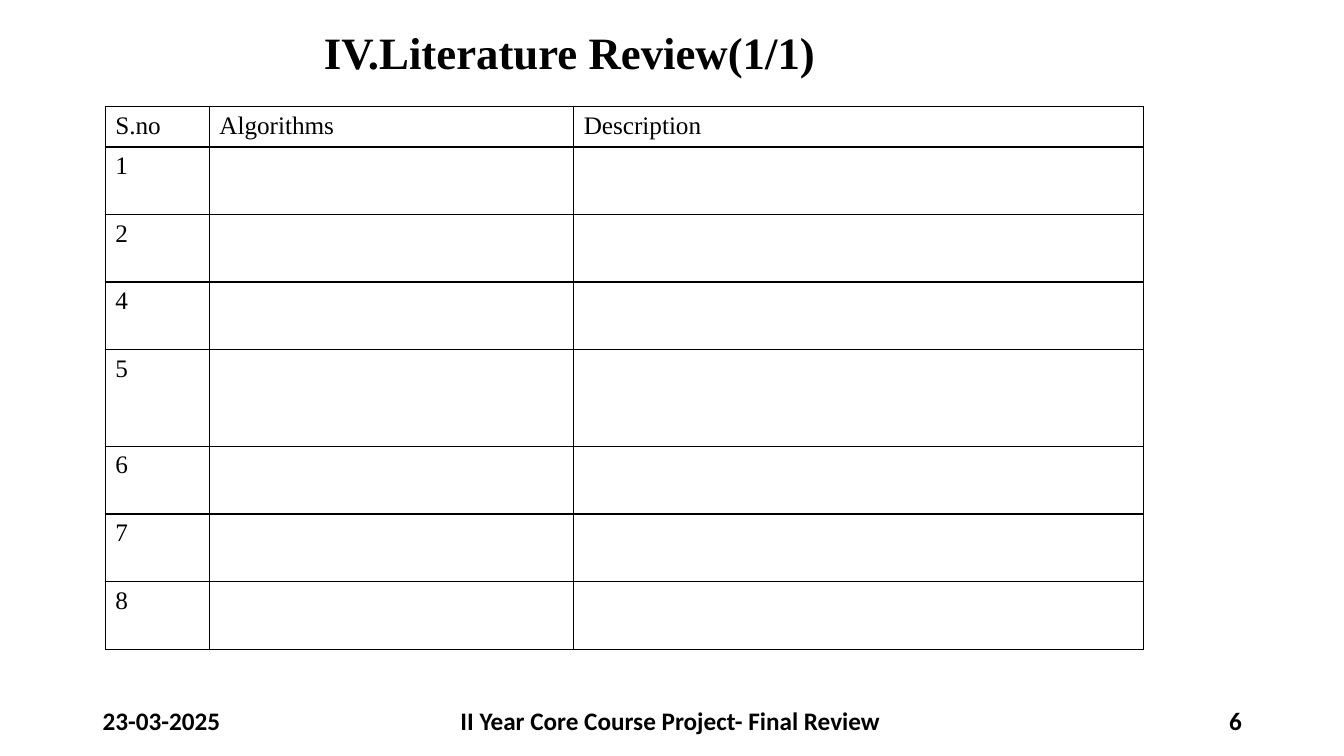
from dataclasses import dataclass

from lxml import etree
from pptx import Presentation
from pptx import util as u
from pptx.dml.color import RGBColor
from pptx.enum import text
from pptx.oxml import ns

BLACK = RGBColor(0, 0, 0)
WHITE = RGBColor(255, 255, 255)
SERIF = "Times New Roman"
SANS = "Calibri"


@dataclass
class Note:
    words: str
    left: float
    width: float
    align: text.PP_ALIGN


NOTES = [
    Note("23-03-2025", 66.24, 216, text.PP_ALIGN.LEFT),
    Note("II Year Core Course Project- Final Review", 259.92, 437.76, text.PP_ALIGN.CENTER),
    Note("6", 678.24, 216, text.PP_ALIGN.RIGHT),
]
HEADS = ["S.no", "Algorithms", "Description"]
NUMBERS = ["1", "2", "4", "5", "6", "7", "8"]
WIDTHS = [74.3, 260.3, 407]
HEAD_HIGH, ROW_HIGH, TALL_HIGH = 27.9, 48.3, 69.1


def write(para, words: str, face: str, size: float, bold: bool) -> None:
    run = para.add_run()
    run.text = words
    run.font.name = face
    run.font.size = u.Pt(size)
    run.font.bold = bold
    run.font.color.rgb = BLACK


def draw_title(slide, words: str) -> None:
    title = slide.shapes.title
    title.left, title.top = u.Pt(32.4), u.Pt(10.8)
    title.width, title.height = u.Pt(902.88), u.Pt(56.88)
    title.fill.solid()
    title.fill.fore_color.rgb = WHITE
    frame = title.text_frame
    frame.auto_size = text.MSO_AUTO_SIZE.NONE
    frame.vertical_anchor = text.MSO_ANCHOR.MIDDLE
    frame.margin_left = u.Pt(199)
    para = frame.paragraphs[0]
    para.alignment = text.PP_ALIGN.LEFT
    para.line_spacing = 0.9
    write(para, words, SERIF, 32, True)


def draw_note(slide, note: Note) -> None:
    box = slide.shapes.add_textbox(u.Pt(note.left), u.Pt(500.4), u.Pt(note.width), u.Pt(28.8))
    frame = box.text_frame
    frame.word_wrap = True
    frame.vertical_anchor = text.MSO_ANCHOR.MIDDLE
    para = frame.paragraphs[0]
    para.alignment = note.align
    write(para, note.words, SANS, 18, True)


def add_lines(cell) -> None:
    props = cell._tc.get_or_add_tcPr()
    for spot, side in enumerate(["lnL", "lnR", "lnT", "lnB"]):
        line = etree.Element(ns.qn(f"a:{side}"), w=str(u.Pt(1)))
        fill = etree.SubElement(line, ns.qn("a:solidFill"))
        etree.SubElement(fill, ns.qn("a:srgbClr"), val=str(BLACK))
        props.insert(spot, line)


def draw_table(slide) -> None:
    rows = [HEADS] + [[number, "", ""] for number in NUMBERS]
    highs = [HEAD_HIGH] + [TALL_HIGH if number == "5" else ROW_HIGH for number in NUMBERS]
    frame = slide.shapes.add_table(
        len(rows), len(HEADS), u.Pt(75.2), u.Pt(76.1), u.Pt(sum(WIDTHS)), u.Pt(sum(highs))
    )
    table = frame.table
    table.first_row = False
    table.horz_banding = False
    for column, width in zip(table.columns, WIDTHS):
        column.width = u.Pt(width)
    for row, high, words in zip(table.rows, highs, rows):
        row.height = u.Pt(high)
        for cell, word in zip(row.cells, words):
            cell.fill.background()
            add_lines(cell)
            if word:
                write(cell.text_frame.paragraphs[0], word, SERIF, 18, False)


def main() -> None:
    deck = Presentation()
    deck.slide_width, deck.slide_height = u.Pt(960), u.Pt(540)
    slide = deck.slides.add_slide(deck.slide_layouts[5])
    draw_title(slide, "IV.Literature Review(1/1)")
    for note in NOTES:
        draw_note(slide, note)
    draw_table(slide)
    deck.save("out.pptx")


if __name__ == "__main__":
    main()
